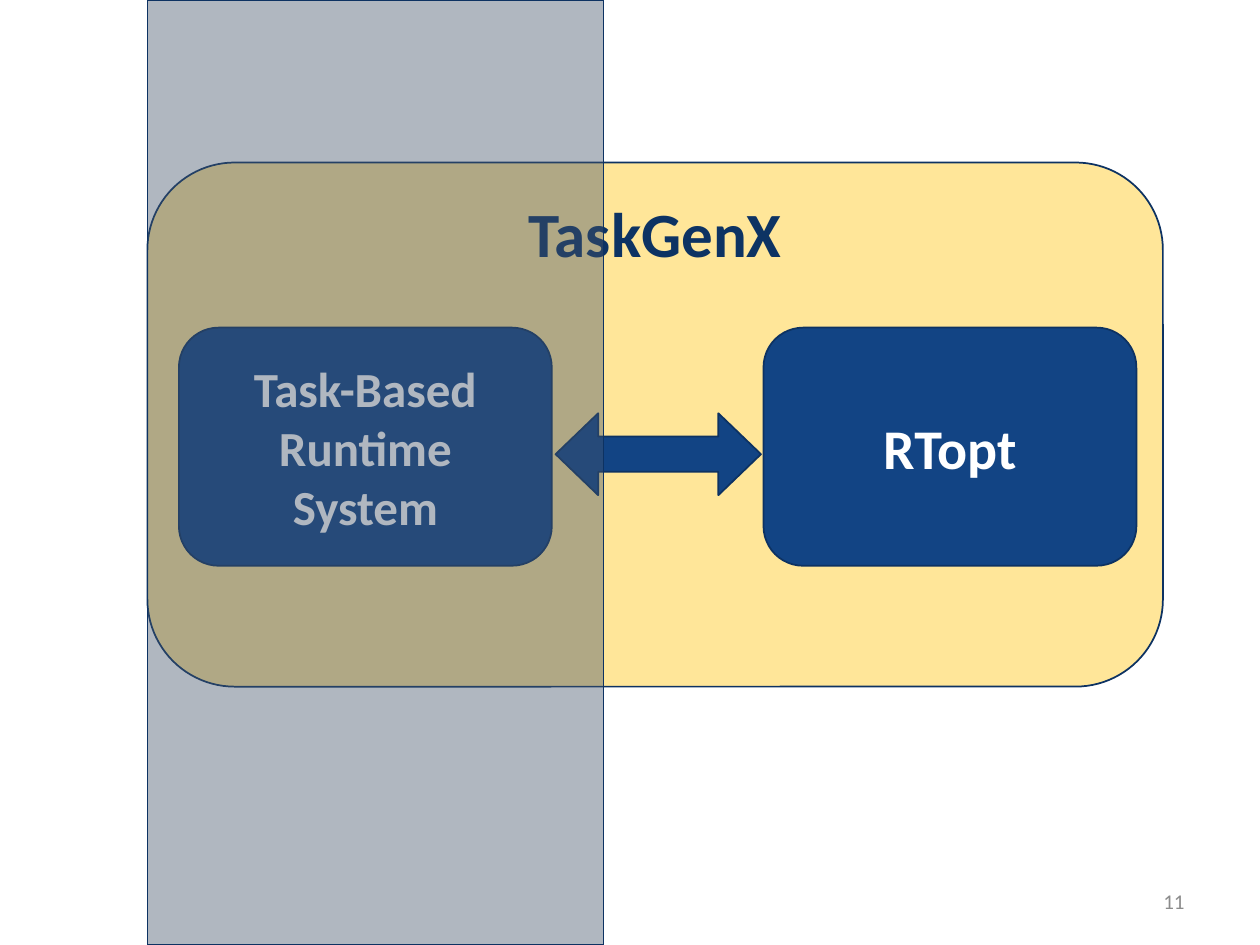
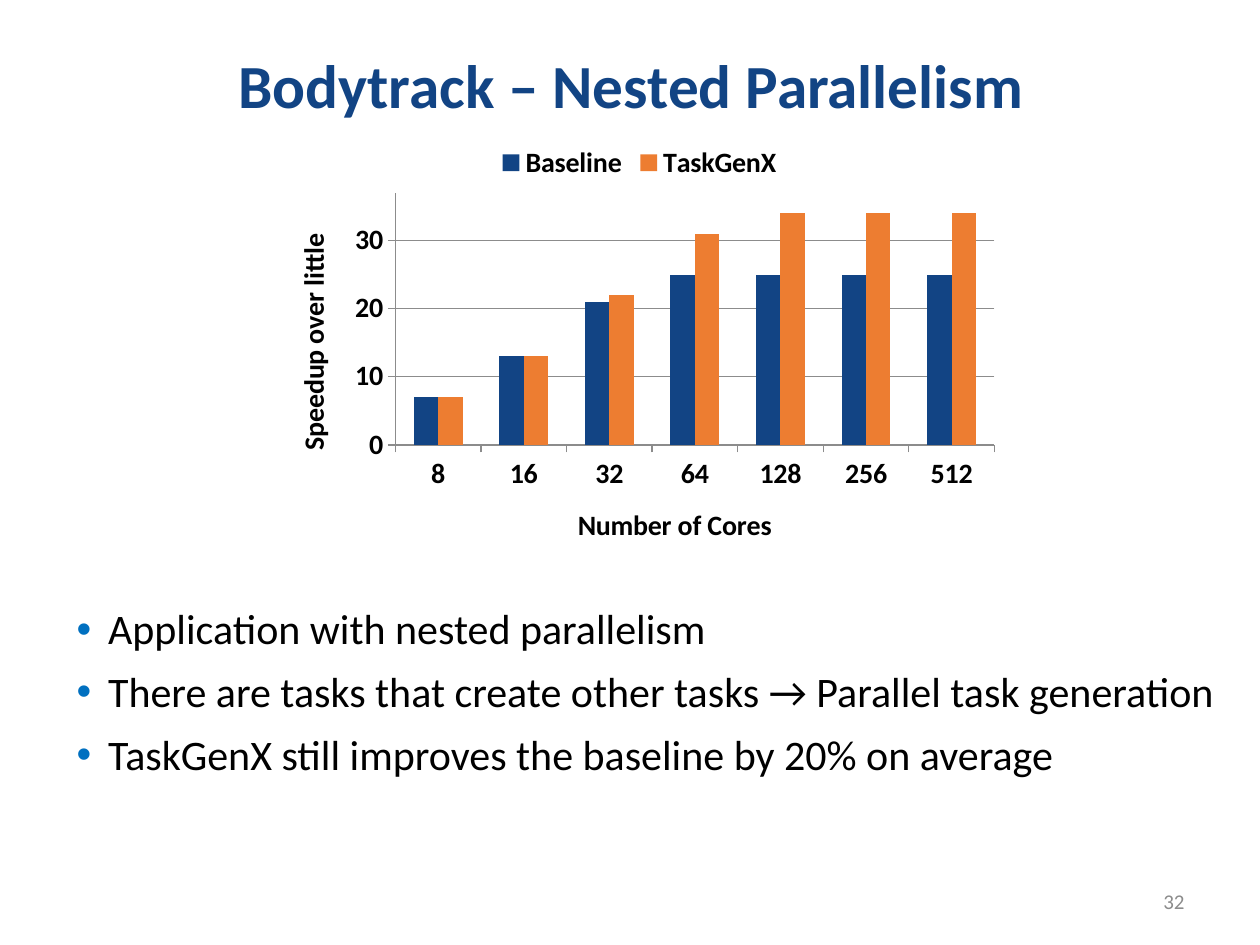
from lxml import etree
from pptx import Presentation
from pptx.chart.data import CategoryChartData
from pptx.dml.color import RGBColor
from pptx.enum.chart import XL_CHART_TYPE, XL_LEGEND_POSITION, XL_TICK_MARK
from pptx.enum.shapes import MSO_SHAPE
from pptx.enum.text import MSO_ANCHOR, PP_ALIGN
from pptx.oxml import parse_xml
from pptx.oxml.ns import nsdecls, qn
from pptx.util import Inches, Pt

FONT = "Calibri"
BLUE = RGBColor(0x12, 0x44, 0x84)
OUTLINE = RGBColor(0x0D, 0x32, 0x62)
NAVY = RGBColor(0x0D, 0x33, 0x63)
YELLOW = RGBColor(0xFF, 0xE6, 0x99)
ORANGE = RGBColor(0xED, 0x7D, 0x31)
SLATE = RGBColor(0x44, 0x54, 0x6A)
GRAY = RGBColor(0x8C, 0x8C, 0x8C)
WHITE = RGBColor(0xFF, 0xFF, 0xFF)
BLACK = RGBColor(0, 0, 0)

ROUNDED = MSO_SHAPE.ROUNDED_RECTANGLE
ARROW = MSO_SHAPE.LEFT_RIGHT_ARROW
RECTANGLE = MSO_SHAPE.RECTANGLE
TOP, MIDDLE = MSO_ANCHOR.TOP, MSO_ANCHOR.MIDDLE
LEFT, CENTER, RIGHT = PP_ALIGN.LEFT, PP_ALIGN.CENTER, PP_ALIGN.RIGHT
OUTSIDE = XL_TICK_MARK.OUTSIDE


def add_block(page, kind, left, top, width, height, fill):
    block = page.shapes.add_shape(
        kind, Inches(left), Inches(top), Inches(width), Inches(height))
    block.shadow.inherit = False
    block.fill.solid()
    block.fill.fore_color.rgb = fill
    block.line.color.rgb = OUTLINE
    block.line.width = Pt(1)
    return block


def write(box, lines, size, color, bold=False, align=CENTER, anchor=MIDDLE):
    """Fill a shape or text box with one paragraph per line."""
    frame = box.text_frame
    frame.word_wrap = True
    frame.vertical_anchor = anchor
    frame.text = "\n".join(lines)
    for para in frame.paragraphs:
        para.alignment = align
        for span in para.runs:
            span.font.name = FONT
            span.font.size = Pt(size)
            span.font.bold = bold
            span.font.color.rgb = color
    return frame.paragraphs


deck = Presentation()
deck.slide_width, deck.slide_height = Inches(10), Inches(7.5)
pages = []
for number in ("11", "32"):
    page = deck.slides.add_slide(deck.slide_layouts[6])
    number_box = page.shapes.add_textbox(
        Inches(7.17), Inches(6.95), Inches(2.33), Inches(0.4))
    write(number_box, [number], 12, GRAY, align=RIGHT)
    pages.append(page)
diagram_page, results_page = pages

# Diagram: two components inside TaskGenX, the left one shaded
container = add_block(diagram_page, ROUNDED, 1.17, 1.29, 8.06, 4.16, YELLOW)
write(container, ["TaskGenX"], 36, NAVY, bold=True, anchor=TOP)
for left, label, size in ((1.42, "Task-Based Runtime System", 28),
                          (6.06, "RTopt", 32)):
    component = add_block(diagram_page, ROUNDED, left, 2.6, 2.96, 1.89, BLUE)
    write(component, [label], size, WHITE, bold=True)
arrow = add_block(diagram_page, ARROW, 4.41, 3.28, 1.63, 0.65, BLUE)
arrow.adjustments[0], arrow.adjustments[1] = 0.43, 0.52
shade = add_block(diagram_page, RECTANGLE, 1.17, 0, 3.62, 7.5, SLATE)
shade_color = shade.fill._xPr.find(qn("a:solidFill"))[0]
etree.SubElement(shade_color, qn("a:alpha"), val="42000")

# Results: title and bullets
title = results_page.shapes.add_textbox(
    Inches(0.51), Inches(0.24), Inches(9), Inches(0.92))
heading = write(title, ["Bodytrack – Nested Parallelism"], 35, BLUE, bold=True)
heading[0].line_spacing = 0.9

body = results_page.shapes.add_textbox(
    Inches(0.51), Inches(4.78), Inches(9.34), Inches(1.84))
findings = write(body, [
    "Application with nested parallelism",
    "There are tasks that create other tasks → Parallel task generation",
    "TaskGenX still improves the baseline by 20% on average",
], 24, BLACK, align=LEFT, anchor=TOP)
for para in findings:
    para.line_spacing = 0.9
    para.space_before = Pt(10)
    props = para._p.get_or_add_pPr()
    props.set("marL", str(Inches(0.25)))
    props.set("indent", str(-Inches(0.25)))
    bullet_color = etree.SubElement(props, qn("a:buClr"))
    etree.SubElement(bullet_color, qn("a:srgbClr"), val="0070C0")
    etree.SubElement(props, qn("a:buFont"), typeface="Arial")
    etree.SubElement(props, qn("a:buChar"), char="•")

# Results: speedup chart
speedups = CategoryChartData()
speedups.categories = ["8", "16", "32", "64", "128", "256", "512"]
speedups.add_series("Baseline", (7, 13, 21, 25, 25, 25, 25))
speedups.add_series("TaskGenX", (7, 13, 22, 31, 34, 34, 34))
chart = results_page.shapes.add_chart(
    XL_CHART_TYPE.COLUMN_CLUSTERED, Inches(2.14), Inches(1.04),
    Inches(5.87), Inches(3.51), speedups).chart
chart.has_title = False
chart.font.name = FONT
chart.font.size = Pt(16)
chart.font.bold = True
chart.font.color.rgb = BLACK
chart.has_legend = True
chart.legend.position = XL_LEGEND_POSITION.TOP
chart.legend.include_in_layout = False

plot = chart.plots[0]
plot.vary_by_categories = False
plot.gap_width = 150
plot.overlap = 0
for series, color in zip(plot.series, (BLUE, ORANGE)):
    series.format.fill.solid()
    series.format.fill.fore_color.rgb = color

for axis, caption in ((chart.category_axis, "Number of Cores"),
                      (chart.value_axis, "Speedup over little")):
    axis.major_tick_mark = OUTSIDE
    axis.format.line.color.rgb = GRAY
    axis.axis_title.text_frame.text = caption
    font = axis.axis_title.text_frame.paragraphs[0].runs[0].font
    font.name, font.size, font.bold = FONT, Pt(16), True
    font.color.rgb = BLACK
scale = chart.value_axis
scale.minimum_scale, scale.maximum_scale, scale.major_unit = 0, 37, 10
scale.has_major_gridlines = True
scale.major_gridlines.format.line.color.rgb = GRAY

plot_area = chart._chartSpace.chart.plotArea
for old_layout in plot_area.findall(qn("c:layout")):
    plot_area.remove(old_layout)
plot_area.insert(0, parse_xml(
    f'<c:layout {nsdecls("c")}><c:manualLayout><c:layoutTarget val="inner"/>'
    '<c:xMode val="edge"/><c:yMode val="edge"/><c:x val="0.17"/>'
    '<c:y val="0.14"/><c:w val="0.81"/><c:h val="0.57"/>'
    '</c:manualLayout></c:layout>'))

deck.save("out.pptx")
